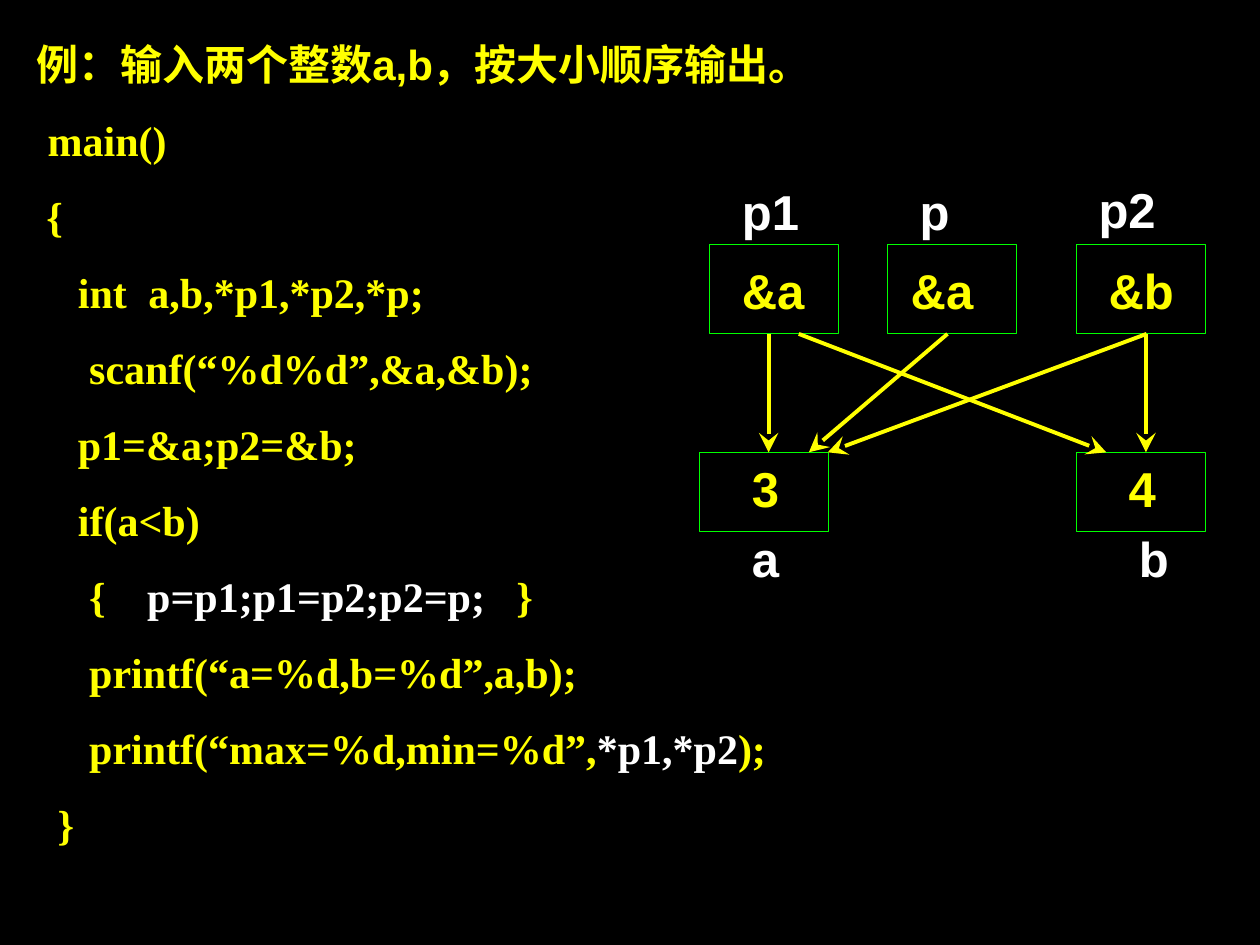
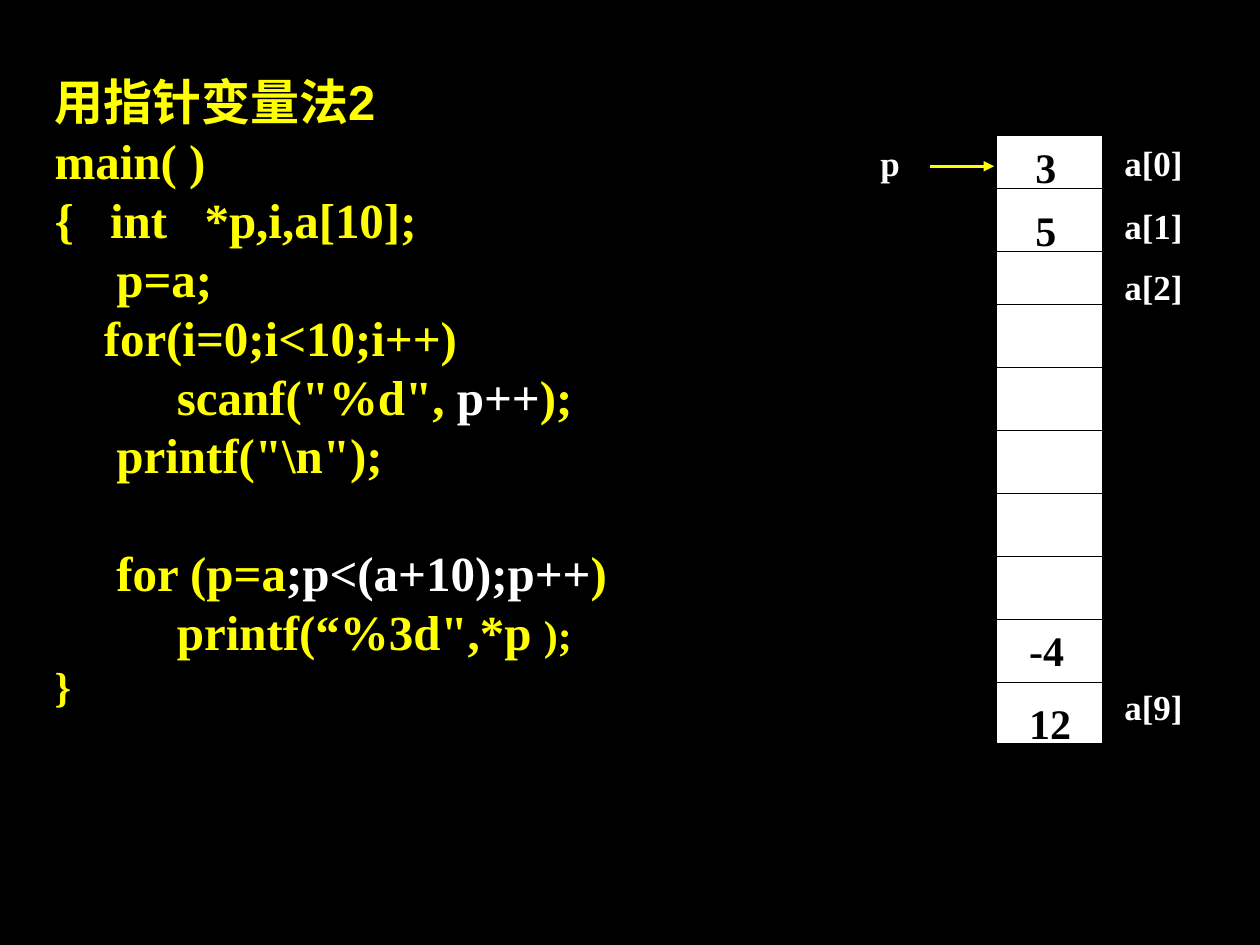
"""Build two slides on C pointers: swapping two pointers and walking an array."""
from itertools import accumulate

from lxml import etree
from pptx import Presentation
from pptx import util as u
from pptx.dml.color import RGBColor
from pptx.enum import shapes, text
from pptx.oxml.ns import qn

COLORS = {"back": "000000", "code": "FFFF00", "accent": "FFFFFF", "box": "00FF00", "ink": "000000"}
SANS, SERIF = "Arial", "Times New Roman"
COLUMNS = 100

SWAP_TITLE = "例：输入两个整数a,b，按大小顺序输出。"
SWAP_CODE = [
    ((0.09,), ["\tmain()"]),
    ((0.08,), ["\t{"]),
    ((0.33, 0.89), ["\tint\ta,b,*p1,*p2,*p;"]),
    ((0.42,), ["\tscanf(“%d%d”,&a,&b);"]),
    ((0.33,), ["\tp1=&a;p2=&b;"]),
    ((0.33,), ["\tif(a<b)"]),
    ((0.42, 0.88, 3.81), ["\t{\t", "p=p1;p1=p2;p2=p;", "\t}"]),
    ((0.42,), ["\tprintf(“a=%d,b=%d”,a,b);"]),
    ((0.42,), ["\tprintf(“max=%d,min=%d”,", "*p1,*p2", ");"]),
    ((0.17,), ["\t}"]),
]
WALK_TITLE = "用指针变量法2"
WALK_CODE = [
    ((), ["main( )"]),
    ((0.44, 1.19), ["{\tint\t*p,i,a[10];"]),
    ((0.49,), ["\tp=a;"]),
    ((0.39,), ["\tfor(i=0;i<10;i++)"]),
    ((0.97,), ["\tscanf(\"%d\", ", "p++", ");"]),
    ((0.49,), ["\tprintf(\"\\n\");"]),
    ((0.49,), ["\tfor (p=a", ";p<(a+10);p++", ")"]),
    ((0.97,), ["\tprintf(“%3d\",*p ", "", ");"]),
    ((), ["}"]),
]
LOOP_LINE, SMALL_LINES = 7, (8, 9)

POINTER_TOP, POINTER_HEIGHT = 19.4, 7.1
VARIABLE_TOP, VARIABLE_HEIGHT = 35.9, 6.3
BOX_WIDTH = 10.24
POINTERS = [(56.3, "p1", 57.9, 13.9, "&a", 57.9),
            (70.46, "p", 72, 13.9, "&a", 71.3),
            (85.43, "p2", 86.2, 13.75, "&b", 87)]
VARIABLES = [(55.5, "3", 58.7, "a", 58.7), (85.43, "4", 88.6, "b", 89.4)]
POINTER_ARROWS = [(61, 61), (90.95, 90.95), (75.2, 64.2), (63.4, 87.8), (91, 65.7)]

ARRAY_LEFT, ARRAY_TOP, ARRAY_WIDTH = 79.1, 10.75, 8.4
ROW_HEIGHTS = [4.2, 5, 4.2] + [5] * 6 + [4.9]
ARRAY_VALUES = [("3", 81.2, 10.75), ("5", 81.2, 15.75), ("-4", 80.7, 49.1), ("12", 80.7, 54.9)]
TAG_WIDTH = 8
ARRAY_TAGS = [("p", 70.65, 10.7), ("a[0]", 91.55, 10.7), ("a[1]", 91.55, 15.7),
              ("a[2]", 91.55, 20.5), ("a[9]", 91.55, 53.9)]

presentation = Presentation()
presentation.slide_width, presentation.slide_height = u.Inches(10), u.Inches(7.5)
background = presentation.slide_master.background.fill
background.solid()
background.fore_color.rgb = RGBColor.from_string(COLORS["back"])


def grid(*columns):
    return [round(presentation.slide_width * column / COLUMNS) for column in columns]


def add_slide():
    return presentation.slides.add_slide(presentation.slide_layouts[6])


def style(run, font, size, color):
    run.font.name, run.font.size, run.font.bold = font, u.Pt(size), True
    run.font.color.rgb = RGBColor.from_string(COLORS[color])


def add_frame(slide, place, anchor=text.MSO_ANCHOR.TOP):
    frame = slide.shapes.add_textbox(*grid(*place)).text_frame
    frame.word_wrap, frame.vertical_anchor = True, anchor
    return frame


def add_label(slide, place, words, font, size, color):
    frame = add_frame(slide, place)
    frame.text = words
    style(frame.paragraphs[0].runs[0], font, size, color)
    return frame


def add_box(slide, place, kind, line, fill=None):
    shape = slide.shapes.add_shape(kind, *grid(*place))
    shape.shadow.inherit = False
    if fill:
        shape.fill.solid()
        shape.fill.fore_color.rgb = RGBColor.from_string(COLORS[fill])
    else:
        shape.fill.background()
    shape.line.color.rgb = RGBColor.from_string(COLORS[line])
    shape.line.width = u.Pt(0.74)


def add_line(slide, ends, color, width, arrow=None, arrow_size="med"):
    line = slide.shapes.add_connector(shapes.MSO_CONNECTOR.STRAIGHT, *grid(*ends))
    line.line.color.rgb = RGBColor.from_string(COLORS[color])
    line.line.width = u.Pt(width)
    if arrow:
        etree.SubElement(line.line._get_or_add_ln(), qn("a:tailEnd"),
                         type=arrow, w=arrow_size, len=arrow_size)
    etree.SubElement(line._element.spPr, qn("a:effectLst"))


def add_code(frame, title, lines, size):
    frame.text = title
    style(frame.paragraphs[0].runs[0], SANS, size, "code")
    for stops, parts in lines:
        paragraph = frame.add_paragraph()
        if stops:
            tabs = etree.SubElement(paragraph._p.get_or_add_pPr(), qn("a:tabLst"))
            for stop in stops:
                etree.SubElement(tabs, qn("a:tab"), pos=str(u.Inches(stop)), algn="l")
        for number, part in enumerate(parts):
            if part:
                run = paragraph.add_run()
                run.text = part
                style(run, SERIF, size, "accent" if number % 2 else "code")


def build_swap():
    slide = add_slide()
    frame = add_frame(slide, (1.9, 1.4, 70, 64.3))
    add_code(frame, SWAP_TITLE, SWAP_CODE, 24)
    for paragraph in frame.paragraphs:
        paragraph.line_spacing, paragraph.space_before = 1.3, u.Pt(6)
    rectangle = shapes.MSO_SHAPE.RECTANGLE
    for left, name, name_left, name_top, value, value_left in POINTERS:
        add_box(slide, (left, POINTER_TOP, BOX_WIDTH, POINTER_HEIGHT), rectangle, "box")
        add_label(slide, (name_left, name_top, 7.1, 5.7), name, SANS, 28, "accent")
        add_label(slide, (value_left, 20.2, 8.7, 5.7), value, SANS, 28, "code")
    for left, value, value_left, name, name_left in VARIABLES:
        add_box(slide, (left, VARIABLE_TOP, BOX_WIDTH, VARIABLE_HEIGHT), rectangle, "box")
        add_label(slide, (value_left, VARIABLE_TOP, 4.7, 5.7), value, SANS, 28, "code")
        add_label(slide, (name_left, 41.45, 4.7, 5.7), name, SANS, 28, "accent")
    for start, end in POINTER_ARROWS:
        ends = (start, POINTER_TOP + POINTER_HEIGHT, end, VARIABLE_TOP)
        add_line(slide, ends, "code", 2.24, "stealth", "lg")


def build_walk():
    slide = add_slide()
    frame = add_frame(slide, (3.35, 5.2, 48.2, 51.7), text.MSO_ANCHOR.MIDDLE)
    add_code(frame, WALK_TITLE, WALK_CODE, 28)
    frame.paragraphs[LOOP_LINE].space_before = u.Pt(33.6)
    for number in SMALL_LINES:
        frame.paragraphs[number].runs[-1].font.size = u.Pt(24)
    place = (ARRAY_LEFT, ARRAY_TOP, ARRAY_WIDTH, sum(ROW_HEIGHTS))
    add_box(slide, place, shapes.MSO_SHAPE.FLOWCHART_PROCESS, "ink", "accent")
    for offset in accumulate(ROW_HEIGHTS[:-1]):
        row = ARRAY_TOP + offset
        add_line(slide, (ARRAY_LEFT, row, ARRAY_LEFT + ARRAY_WIDTH, row), "ink", 0.74)
    for value, left, top in ARRAY_VALUES:
        add_label(slide, (left, top, 6, 5), value, SERIF, 24, "ink")
    for name, center, top in ARRAY_TAGS:
        place = (center - TAG_WIDTH / 2, top, TAG_WIDTH, 4.4)
        tag = add_label(slide, place, name, SERIF, 20, "accent")
        tag.word_wrap, tag.vertical_anchor = False, text.MSO_ANCHOR.MIDDLE
        tag.paragraphs[0].alignment = text.PP_ALIGN.CENTER
    add_line(slide, (73.85, 13.2, 78.9, 13.2), "code", 2.01, "triangle")


build_swap()
build_walk()
presentation.save("out.pptx")
